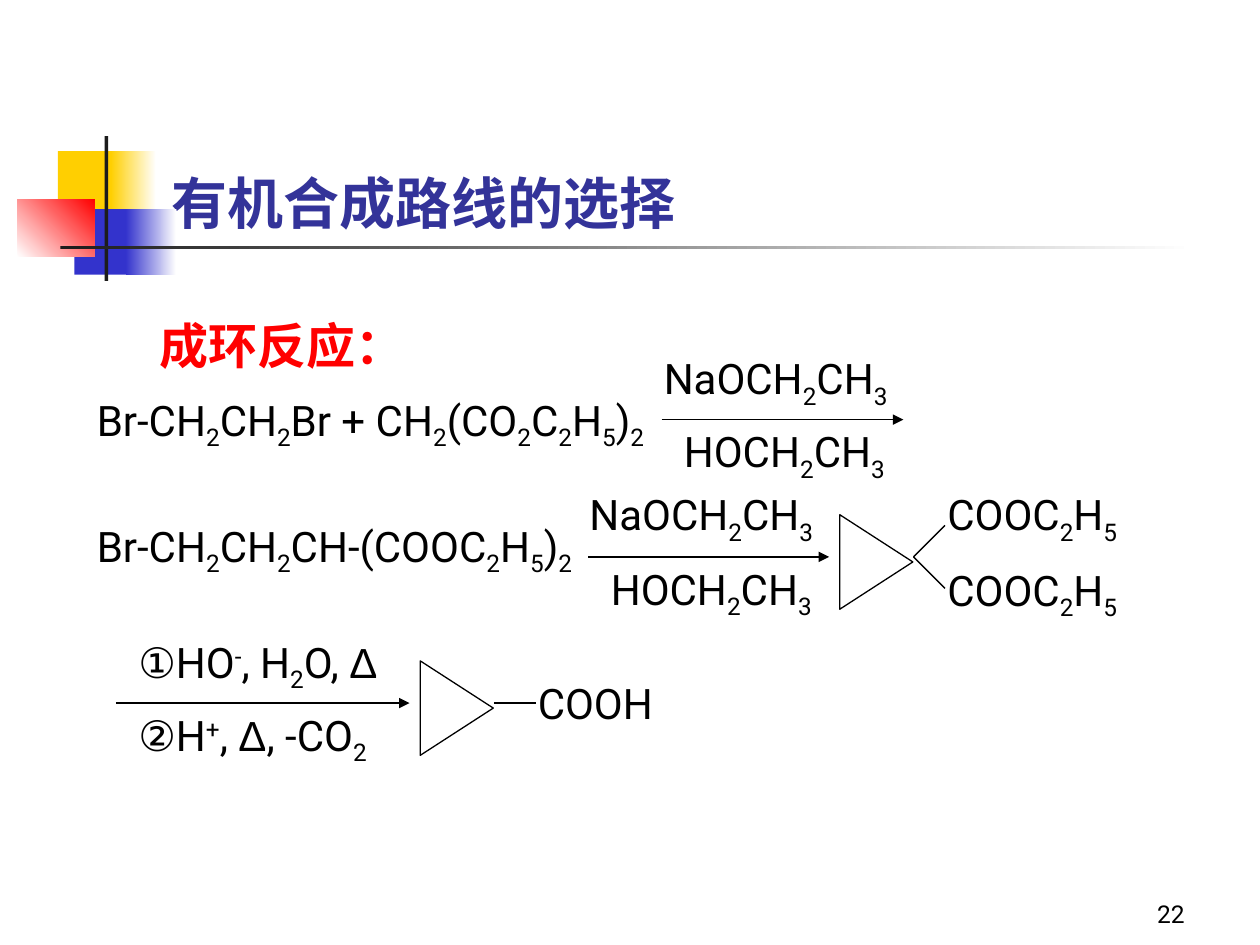
from dataclasses import dataclass
from itertools import groupby
from typing import Optional

import pptx
import pptx.dml.color
import pptx.enum.shapes
import pptx.enum.text
import pptx.oxml
import pptx.oxml.ns
import pptx.util
from pptx.util import Inches

RGBColor = pptx.dml.color.RGBColor
Shape = pptx.enum.shapes.MSO_SHAPE
Align = pptx.enum.text.PP_ALIGN
Anchor = pptx.enum.text.MSO_ANCHOR

YELLOW = RGBColor(0xFF, 0xCF, 0x01)
BLUE = RGBColor(0x33, 0x33, 0xCC)
INDIGO = RGBColor(0x33, 0x33, 0x99)
RED = RGBColor(0xFF, 0x00, 0x00)
CHARCOAL = RGBColor(0x1C, 0x1C, 0x1C)
BLACK = RGBColor(0x00, 0x00, 0x00)
WHITE = RGBColor(0xFF, 0xFF, 0xFF)

FONT = "Roboto"
DELTA_FONT = "Arial"
SUPERSCRIPTS = {"⁺": "+", "⁻": "-"}
BASELINES = {"sub": "-25000", "super": "30000"}


@dataclass(frozen=True)
class Block:
    left: float
    top: float
    width: float
    height: float
    color: RGBColor
    fade_to: Optional[RGBColor] = None
    angle: float = 0


@dataclass(frozen=True)
class Formula:
    left: float
    top: float
    width: float
    text: str


@dataclass(frozen=True)
class Bond:
    x1: float
    y1: float
    x2: float
    y2: float
    arrow: bool = False


@dataclass(frozen=True)
class Ring:
    left: float
    top: float


ORNAMENT = [
    Block(0.46, 1.2, 0.48, 0.52, YELLOW),
    Block(0.88, 1.2, 0.36, 0.52, YELLOW, WHITE),
    Block(0.59, 1.66, 0.46, 0.52, BLUE),
    Block(1, 1.66, 0.4, 0.52, BLUE, WHITE),
    Block(0.14, 1.58, 0.61, 0.46, WHITE, RED, 45),
    Block(0.83, 1.08, 0.03, 1.15, CHARCOAL),
    Block(0.48, 1.95, 9, 0.03, CHARCOAL, WHITE),
]
FORMULAS = [
    Formula(0.67, 3.08, 4.83, "Br-CH2CH2Br + CH2(CO2C2H5)2"),
    Formula(5.17, 2.75, 2.17, "NaOCH2CH3"),
    Formula(5.33, 3.33, 2.17, "HOCH2CH3"),
    Formula(0.67, 4.08, 4.5, "Br-CH2CH2CH-(COOC2H5)2"),
    Formula(4.58, 3.83, 2.17, "NaOCH2CH3"),
    Formula(4.75, 4.42, 2.17, "HOCH2CH3"),
    Formula(7.42, 3.83, 1.58, "COOC2H5"),
    Formula(7.42, 4.43, 1.58, "COOC2H5"),
    Formula(1, 5, 2.33, "①HO⁻, H2O, Δ"),
    Formula(1, 5.58, 2.5, "②H⁺, Δ, -CO2"),
    Formula(4.17, 5.33, 1.17, "COOH"),
]
BONDS = [
    Bond(5.25, 3.33, 7.17, 3.33, arrow=True),
    Bond(4.67, 4.42, 6.58, 4.42, arrow=True),
    Bond(0.92, 5.58, 3.25, 5.58, arrow=True),
    Bond(3.92, 5.58, 4.25, 5.58),
    Bond(7.25, 4.42, 7.5, 4.17),
    Bond(7.25, 4.42, 7.5, 4.67),
]
RINGS = [Ring(6.58, 4.17), Ring(3.25, 5.33)]


def draw_block(slide, block: Block) -> None:
    shape = slide.shapes.add_shape(
        Shape.RECTANGLE, Inches(block.left), Inches(block.top),
        Inches(block.width), Inches(block.height))
    shape.shadow.inherit = False
    shape.line.fill.background()
    if block.fade_to is None:
        shape.fill.solid()
        shape.fill.fore_color.rgb = block.color
        return
    shape.fill.gradient()
    shape.fill.gradient_angle = block.angle
    for stop, color in zip(shape.fill.gradient_stops, (block.color, block.fade_to)):
        stop.color.rgb = color


def style_paragraph(paragraph, size: float, color: RGBColor, bold: bool = False) -> None:
    paragraph.font.name = FONT
    paragraph.font.size = pptx.util.Pt(size)
    paragraph.font.bold = bold
    paragraph.font.color.rgb = color


def add_paragraph_box(slide, left: float, top: float, width: float, height: float):
    frame = slide.shapes.add_textbox(
        Inches(left), Inches(top), Inches(width), Inches(height)).text_frame
    frame.word_wrap = True
    return frame, frame.paragraphs[0]


def script_of(character: str) -> str:
    if character in "0123456789":
        return "sub"
    if character in SUPERSCRIPTS:
        return "super"
    return "delta" if character == "Δ" else "base"


def draw_formula(slide, formula: Formula) -> None:
    _, paragraph = add_paragraph_box(
        slide, formula.left, formula.top, formula.width, 0.56)
    style_paragraph(paragraph, 24, BLACK)
    for script, characters in groupby(formula.text, script_of):
        run = paragraph.add_run()
        run.text = "".join(SUPERSCRIPTS.get(c, c) for c in characters)
        if script in BASELINES:
            run._r.get_or_add_rPr().set("baseline", BASELINES[script])
        elif script == "delta":
            run.font.name = DELTA_FONT


def draw_bond(slide, bond: Bond) -> None:
    connector = slide.shapes.add_connector(
        pptx.enum.shapes.MSO_CONNECTOR.STRAIGHT,
        Inches(bond.x1), Inches(bond.y1), Inches(bond.x2), Inches(bond.y2))
    connector.line.color.rgb = BLACK
    connector.line.width = pptx.util.Pt(0.75)
    properties = connector._element.spPr
    if bond.arrow:
        tip = pptx.oxml.parse_xml(
            f'<a:tailEnd {pptx.oxml.ns.nsdecls("a")} type="triangle"/>')
        connector.line._get_or_add_ln().append(tip)
    properties.append(pptx.oxml.parse_xml(
        f'<a:effectLst {pptx.oxml.ns.nsdecls("a")}/>'))


def draw_ring(slide, ring: Ring) -> None:
    shape = slide.shapes.add_shape(
        Shape.ISOSCELES_TRIANGLE, Inches(ring.left), Inches(ring.top),
        Inches(0.75), Inches(0.58))
    shape.rotation = 90
    shape.shadow.inherit = False
    shape.fill.background()
    shape.line.color.rgb = BLACK
    shape.line.width = pptx.util.Pt(0.75)


def draw_headings(slide) -> None:
    title = slide.shapes.title
    title.left, title.top = Inches(1.26), Inches(0.67)
    title.width, title.height = Inches(8.52), Inches(1.25)
    title.text_frame.text = "有机合成路线的选择"
    title.text_frame.vertical_anchor = Anchor.BOTTOM
    heading = title.text_frame.paragraphs[0]
    heading.alignment = Align.LEFT
    style_paragraph(heading, 32, INDIGO, bold=True)

    _, topic = add_paragraph_box(slide, 1.17, 2.29, 2.16, 0.8)
    topic.text = "成环反应："
    topic.line_spacing = 1.35
    style_paragraph(topic, 28, RED, bold=True)

    frame, page_number = add_paragraph_box(slide, 7.42, 6.92, 2.08, 0.5)
    frame.vertical_anchor = Anchor.BOTTOM
    page_number.text = "22"
    page_number.alignment = Align.RIGHT
    style_paragraph(page_number, 14, BLACK)


def main() -> None:
    presentation = pptx.Presentation()
    presentation.slide_width, presentation.slide_height = Inches(10), Inches(7.5)
    slide = presentation.slides.add_slide(presentation.slide_layouts[5])
    for block in ORNAMENT:
        draw_block(slide, block)
    draw_headings(slide)
    for formula in FORMULAS:
        draw_formula(slide, formula)
    for bond in BONDS:
        draw_bond(slide, bond)
    for ring in RINGS:
        draw_ring(slide, ring)
    presentation.save("out.pptx")


if __name__ == "__main__":
    main()
